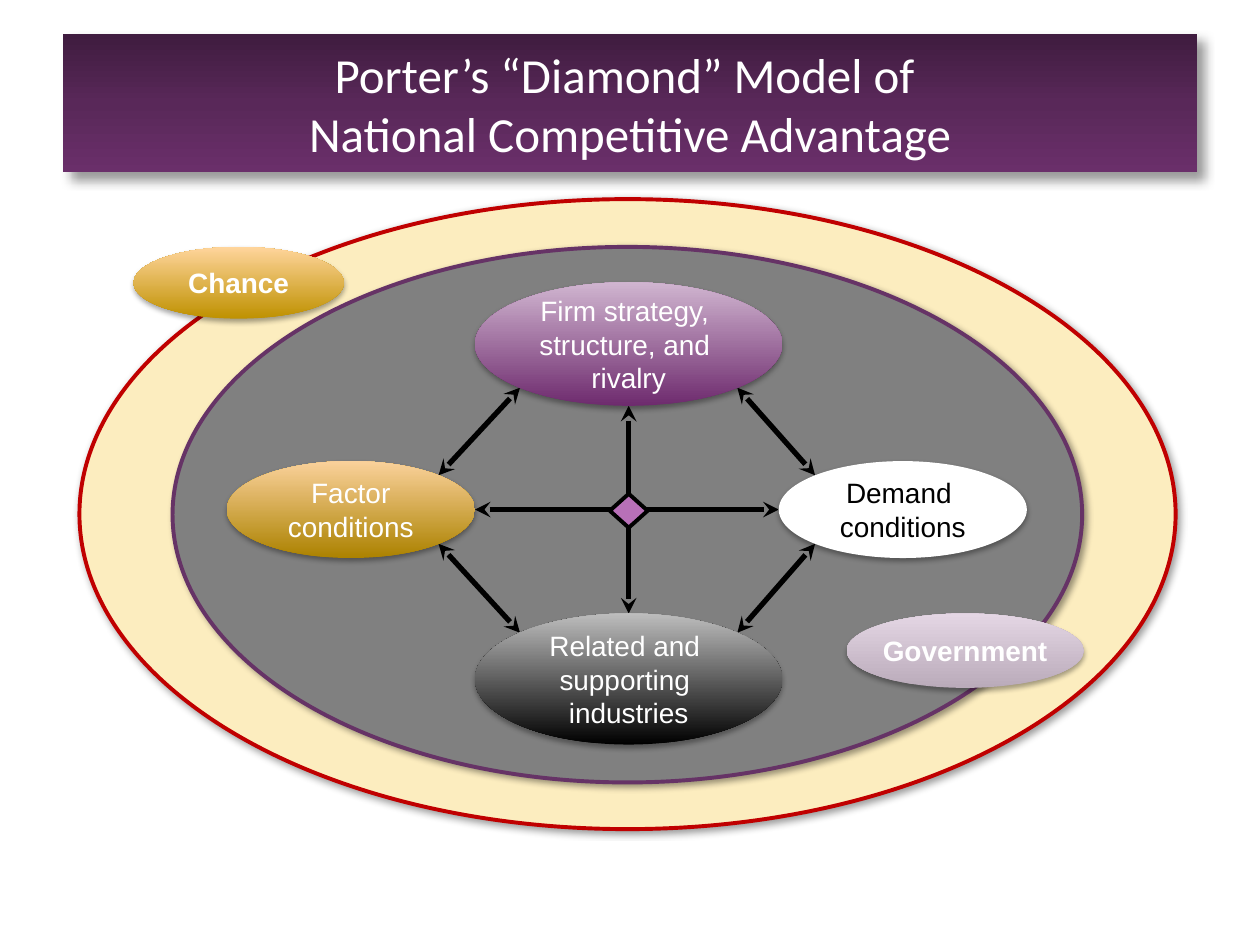
"""Build the diamond model slide."""
from dataclasses import dataclass
from copy import deepcopy
from math import sqrt

from lxml.etree import SubElement
from pptx import Presentation
from pptx.dml.color import RGBColor
from pptx.enum.shapes import MSO_CONNECTOR, MSO_SHAPE
from pptx.enum.text import MSO_ANCHOR, MSO_AUTO_SIZE, PP_ALIGN
from pptx.oxml.ns import qn
from pptx.util import Pt

WHITE = RGBColor(255, 255, 255)
BLACK = RGBColor(0, 0, 0)
GREY = RGBColor(0x80, 0x80, 0x80)
CREAM = RGBColor(0xFC, 0xED, 0xBF)
RED = RGBColor(0xC0, 0x00, 0x00)
PLUM = RGBColor(0x66, 0x33, 0x66)
PINK = RGBColor(0xB8, 0x70, 0xB8)
TITLE = (RGBColor(0x3F, 0x1C, 0x3F), RGBColor(0x59, 0x28, 0x59), RGBColor(0x6A, 0x2F, 0x6A))
GOLD = (RGBColor(0xBF, 0x91, 0x00), RGBColor(0xFF, 0xD5, 0x9C))
AMBER = (RGBColor(0xAC, 0x82, 0x00), RGBColor(0xFA, 0xD1, 0x9B))
LILAC = (RGBColor(0xBA, 0xAB, 0xBA), RGBColor(0xE4, 0xD6, 0xE4))
GRAPE = (RGBColor(0x6E, 0x2B, 0x6E), RGBColor(0xD0, 0xB5, 0xD0))
COAL = (BLACK, RGBColor(0xBD, 0xBD, 0xBD))


@dataclass(frozen=True)
class Glow:
    """Shadow strength, blur, distance and angle."""
    alpha: int
    blur: float
    dist: float
    angle: int


@dataclass(frozen=True)
class Oval:
    """One oval with its box, fill and label."""
    left: float
    top: float
    width: float
    height: float
    fill: RGBColor | tuple[RGBColor, ...]
    label: str = ""
    ink: RGBColor = WHITE
    bold: bool = False
    edge: RGBColor | None = None
    kind: MSO_SHAPE = MSO_SHAPE.OVAL
    glow: Glow | None = Glow(35, 3.1, 1.8, 90)

    def spot(self, right: float, down: float) -> tuple[float, float]:
        """Return the rim point in the given direction."""
        size = 2 * sqrt(right ** 2 + down ** 2)
        return (self.left + self.width * (0.5 + right / size),
                self.top + self.height * (0.5 + down / size))


RING = Glow(40, 4, 2, 45)
OUTER = Oval(45.4, 113.8, 626.4, 360, CREAM, edge=RED, glow=RING)
INNER = Oval(98.6, 141.1, 519.8, 306, GREY, edge=PLUM, glow=RING)
CHANCE = Oval(76.3, 141.1, 120.2, 41, GOLD, "Chance", bold=True)
STATE = Oval(483.8, 350.6, 135.4, 42.5, LILAC, "Government", bold=True)
DEMAND = Oval(445, 263.5, 141.8, 55.4, WHITE, "Demand \vconditions", BLACK)
FACTOR = Oval(129.6, 263.5, 141.8, 55.4, AMBER, "Factor\vconditions")
FIRM = Oval(271.4, 161.3, 175.7, 70.6, GRAPE, "Firm strategy, \vstructure, and \vrivalry")
ALLIES = Oval(271.4, 350.6, 175.7, 74.9, COAL, "Related and \vsupporting \vindustries")
CORE = Oval(348.5, 282.2, 21.6, 19.4, PINK, edge=BLACK, kind=MSO_SHAPE.DIAMOND, glow=None)


def paint(shape, fill, angle: int = 90) -> None:
    """Fill a shape with one colour or an even gradient."""
    if isinstance(fill, RGBColor):
        shape.fill.solid()
        shape.fill.fore_color.rgb = fill
        return
    shape.fill.gradient()
    shape.fill.gradient_angle = angle
    stops = shape._element.spPr.find(".//" + qn("a:gsLst"))
    while len(stops) < len(fill):
        stops.append(deepcopy(stops[0]))
    for step, (stop, shade) in enumerate(zip(shape.fill.gradient_stops, fill)):
        stop.position = step / (len(fill) - 1)
        stop.color.rgb = shade


def shade(shape, glow: Glow | None) -> None:
    """Replace the theme shadow with the given one."""
    shape.shadow.inherit = False
    if glow is None:
        return
    root = shape._element.spPr.find(qn("a:effectLst"))
    drop = SubElement(root, qn("a:outerShdw"), blurRad=str(Pt(glow.blur)),
                      dist=str(Pt(glow.dist)), dir=str(glow.angle * 60000),
                      algn="ctr", rotWithShape="0")
    tint = SubElement(drop, qn("a:srgbClr"), val="000000")
    SubElement(tint, qn("a:alpha"), val=str(glow.alpha * 1000))


def write(shape, text: str, *, size: float = 16, face: str = "Arial",
          ink: RGBColor = WHITE, bold: bool = False, inset: float = 0) -> None:
    """Put centred text into a shape."""
    frame = shape.text_frame
    frame.text = text
    frame.word_wrap = True
    frame.auto_size = MSO_AUTO_SIZE.NONE
    frame.vertical_anchor = MSO_ANCHOR.MIDDLE
    frame.margin_left = frame.margin_right = Pt(inset)
    frame.margin_top = frame.margin_bottom = Pt(3.6)
    line = frame.paragraphs[0]
    line.alignment = PP_ALIGN.CENTER
    for run in line.runs:
        run.font.size, run.font.name, run.font.bold = Pt(size), face, bold
        run.font.color.rgb = ink


def draw(shapes, oval: Oval) -> None:
    """Draw an oval or the core diamond."""
    box = map(Pt, (oval.left, oval.top, oval.width, oval.height))
    shape = shapes.add_shape(oval.kind, *box)
    paint(shape, oval.fill)
    if oval.edge is None:
        shape.line.fill.background()
    else:
        shape.line.color.rgb = oval.edge
        shape.line.width = Pt(2.25)
    shade(shape, oval.glow)
    if oval.label:
        write(shape, oval.label, ink=oval.ink, bold=oval.bold)


def link(shapes, start: Oval, end: Oval, right: float, down: float) -> None:
    """Join two facing rims with a double arrow."""
    ends = map(Pt, start.spot(right, down) + end.spot(-right, -down))
    arrow = shapes.add_connector(MSO_CONNECTOR.STRAIGHT, *ends)
    arrow.line.color.rgb = BLACK
    arrow.line.width = Pt(3)
    for tip in ("a:headEnd", "a:tailEnd"):
        SubElement(arrow.line._get_or_add_ln(), qn(tip), type="stealth")
    SubElement(arrow._element.spPr, qn("a:effectLst"))


def main() -> None:
    """Build and save the slide."""
    deck = Presentation()
    deck.slide_width, deck.slide_height = Pt(720), Pt(540)
    slide = deck.slides.add_slide(deck.slide_layouts[5])
    shapes = slide.shapes
    title = shapes.title
    title.left, title.top, title.width, title.height = map(Pt, (36, 19.4, 648, 79.2))
    paint(title, TITLE, 270)
    shade(title, Glow(40, 6, 6, 45))
    write(title, "Porter’s “Diamond” Model of \vNational Competitive Advantage",
          size=28, face="Calibri", inset=7.2)
    for ring in (OUTER, INNER):
        draw(shapes, ring)
    for side, way in ((FACTOR, -1), (DEMAND, 1)):
        link(shapes, FIRM, side, way, 1)
        link(shapes, ALLIES, side, way, -1)
    link(shapes, FACTOR, DEMAND, 1, 0)
    link(shapes, FIRM, ALLIES, 0, 1)
    for oval in (CHANCE, DEMAND, FACTOR, STATE, FIRM, ALLIES, CORE):
        draw(shapes, oval)
    deck.save("out.pptx")


if __name__ == "__main__":
    main()
